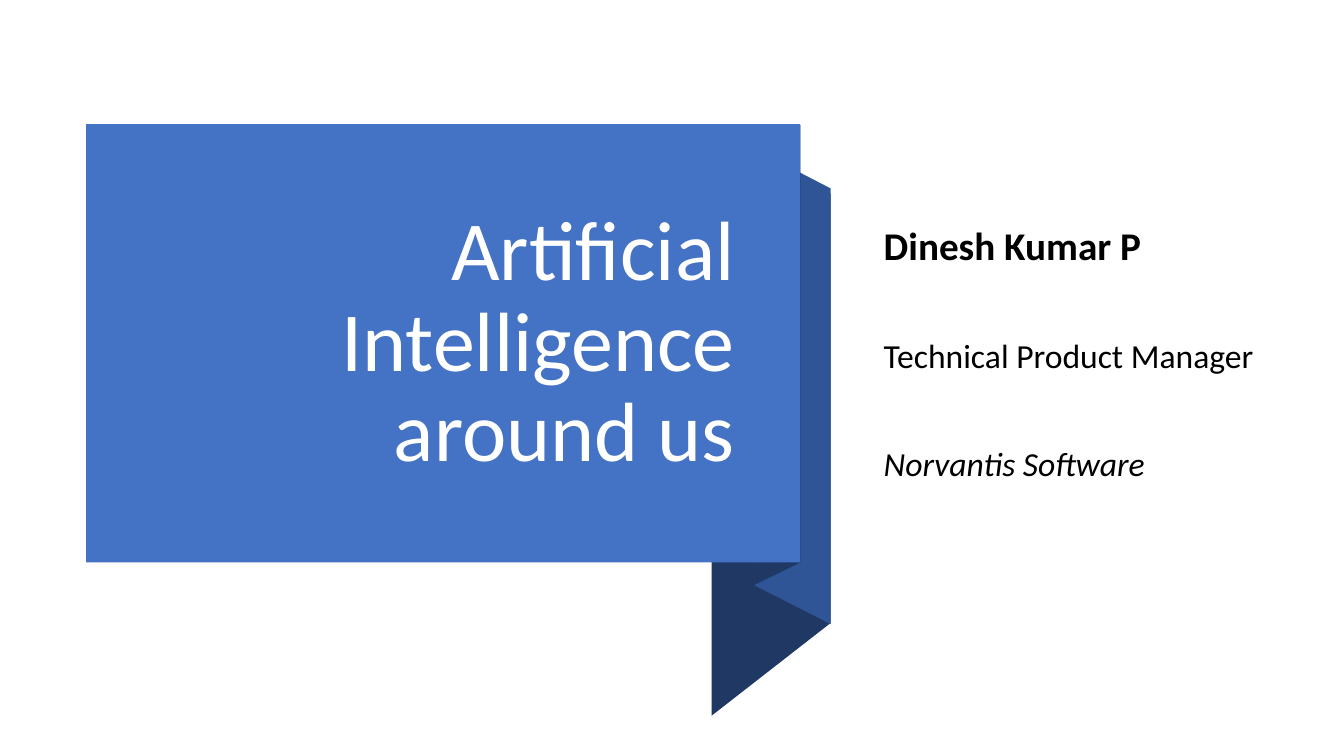
"""Build the opening slide of a talk: a folded blue ribbon with the title, and the speaker beside it."""
from dataclasses import dataclass

from pptx import Presentation
from pptx.dml.color import RGBColor
from pptx.enum import shapes, text
from pptx.util import Pt

FONT = "Calibri"
BLACK = RGBColor(0x00, 0x00, 0x00)
WHITE = RGBColor(0xFF, 0xFF, 0xFF)
BLUE = RGBColor(0x44, 0x72, 0xC4)
MID_BLUE = RGBColor(0x2F, 0x55, 0x97)
DARK_BLUE = RGBColor(0x20, 0x38, 0x64)


@dataclass(frozen=True)
class Fold:
    points: tuple[tuple[float, float], ...]
    color: RGBColor


@dataclass(frozen=True)
class SpeakerLine:
    words: str
    size: float
    before: float = 0
    bold: bool = False
    italic: bool = False


FOLDS = (
    Fold(((593.3, 445), (508.3, 511.2), (508.3, 204.5), (593.3, 138.2)), DARK_BLUE),
    Fold(((593.3, 445.7), (539.3, 418.3), (539.3, 106.6), (593.3, 134.6)), MID_BLUE),
    Fold(((571.7, 401.8), (539.3, 417.6), (539.3, 105.1), (571.7, 89.3)), DARK_BLUE),
)
SPEAKER = (
    SpeakerLine("Dinesh Kumar P", 28, bold=True),
    SpeakerLine("Technical Product Manager", 24, before=50.8),
    SpeakerLine("Norvantis Software", 24, before=50.8, italic=True),
)


def paint(sp, color: RGBColor) -> None:
    sp.shadow.inherit = False
    sp.fill.solid()
    sp.fill.fore_color.rgb = color
    sp.line.fill.background()


def add_fold(s, fold: Fold) -> None:
    start, *rest = [(Pt(x), Pt(y)) for x, y in fold.points]
    builder = s.shapes.build_freeform(*start)
    builder.add_line_segments(rest, close=True)
    paint(builder.convert_to_shape(), fold.color)


def set_frame(tf) -> None:
    tf.word_wrap = True
    tf.auto_size = text.MSO_AUTO_SIZE.NONE
    tf.vertical_anchor = text.MSO_ANCHOR.MIDDLE


def write(p, words: str, *, size: float, color: RGBColor, align=text.PP_ALIGN.LEFT,
          before: float = 0, bold: bool = False, italic: bool = False) -> None:
    p.alignment = align
    p.line_spacing = 0.9
    p.space_before = Pt(before)
    r = p.add_run()
    r.text = words
    r.font.name = FONT
    r.font.size = Pt(size)
    r.font.color.rgb = color
    r.font.bold = bold
    r.font.italic = italic


def add_title(s) -> None:
    sp = s.shapes.title
    sp.left, sp.top, sp.width, sp.height = Pt(108), Pt(113.8), Pt(424), Pt(263.5)
    set_frame(sp.text_frame)
    write(sp.text_frame.paragraphs[0], "Artificial Intelligence around us",
          size=60, color=WHITE, align=text.PP_ALIGN.RIGHT)
    s.shapes._spTree.append(sp._element)


def add_speaker(s) -> None:
    tf = s.shapes.add_textbox(Pt(624.2), Pt(116.6), Pt(290.2), Pt(273.6)).text_frame
    set_frame(tf)
    for i, line in enumerate(SPEAKER):
        p = tf.add_paragraph() if i else tf.paragraphs[0]
        write(p, line.words, size=line.size, color=BLACK, before=line.before,
              bold=line.bold, italic=line.italic)


def main() -> None:
    prs = Presentation()
    prs.slide_width, prs.slide_height = Pt(960), Pt(540)
    s = prs.slides.add_slide(prs.slide_layouts[5])
    for fold in FOLDS:
        add_fold(s, fold)
    banner = s.shapes.add_shape(shapes.MSO_SHAPE.RECTANGLE, Pt(61.5), Pt(88.6), Pt(510), Pt(313.2))
    paint(banner, BLUE)
    add_title(s)
    add_speaker(s)
    prs.save("out.pptx")


if __name__ == "__main__":
    main()
